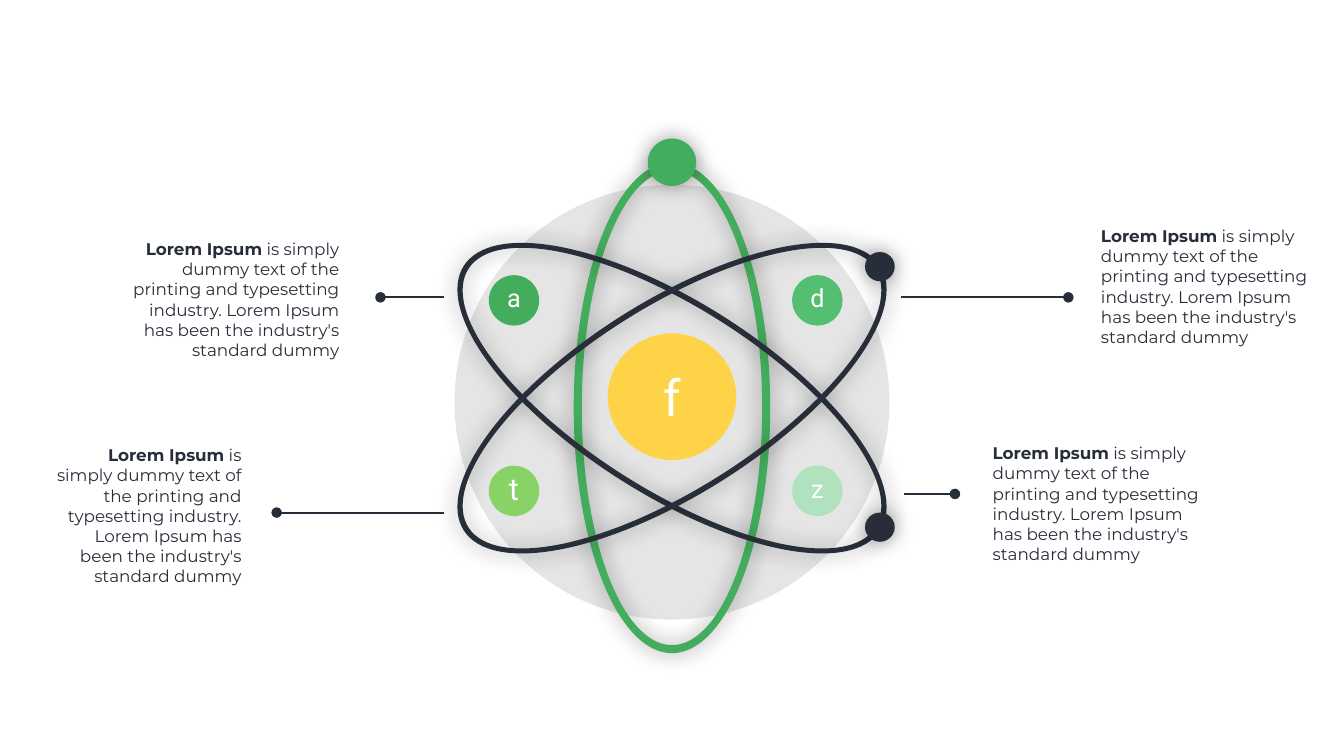
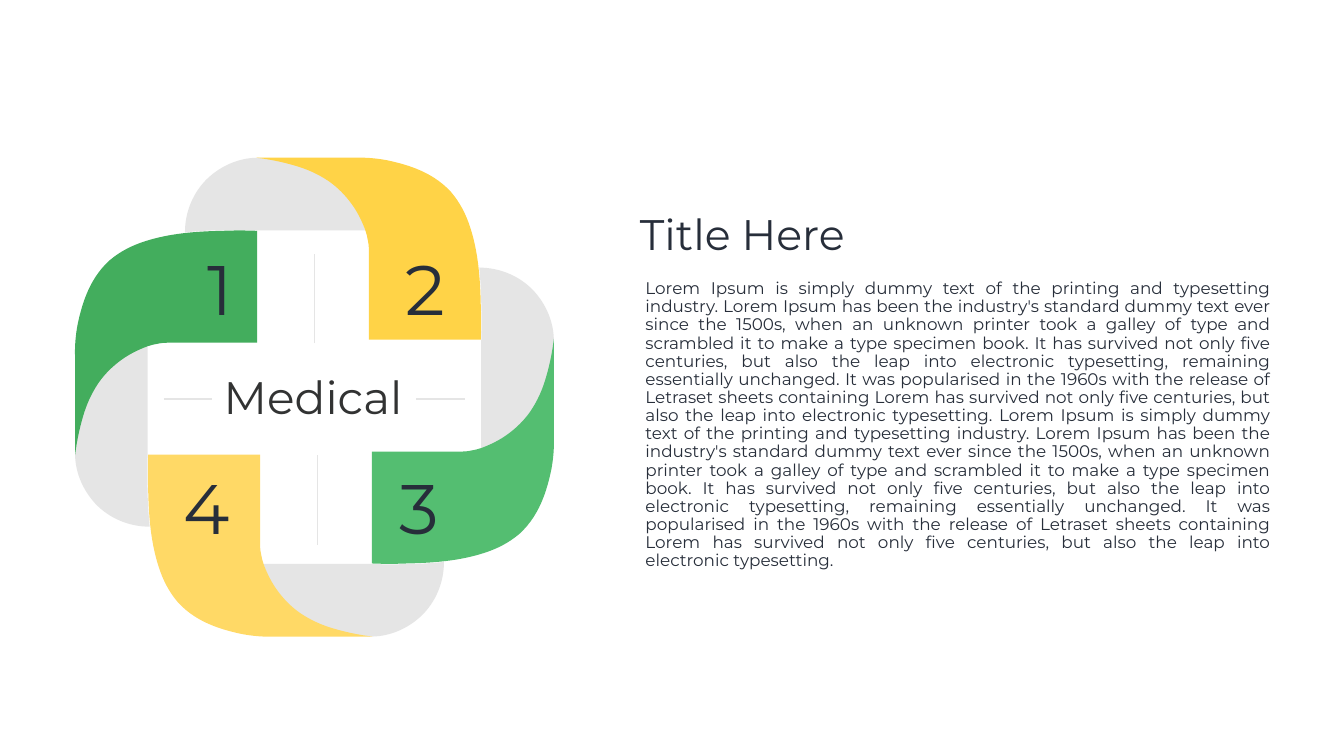
from itertools import product
from math import atan2, cos, pi, radians, sin, tan

from lxml.etree import SubElement
from pptx import Presentation
from pptx.dml.color import RGBColor
from pptx.enum.shapes import MSO_CONNECTOR, MSO_SHAPE
from pptx.enum.text import MSO_ANCHOR, MSO_AUTO_SIZE, PP_ALIGN
from pptx.oxml.ns import qn
from pptx.util import Inches, Pt

COLUMNS, ROWS = 26.67, 15
MID = COLUMNS / 2

WHITE = RGBColor(0xFF, 0xFF, 0xFF)
INK = RGBColor(0x27, 0x2E, 0x3A)
CHARCOAL = RGBColor(0x32, 0x33, 0x33)
GRAY = RGBColor(0x80, 0x80, 0x80)
PALE_GRAY = RGBColor(0xE5, 0xE5, 0xE5)
GREEN = RGBColor(0x43, 0xAD, 0x5D)
MID_GREEN = RGBColor(0x54, 0xBE, 0x71)
LIME = RGBColor(0x89, 0xD3, 0x66)
MINT = RGBColor(0xB0, 0xE2, 0xBD)
YELLOW = RGBColor(0xFF, 0xD3, 0x47)
SOFT_YELLOW = RGBColor(0xFF, 0xD9, 0x66)

HEADING_FONT, ICON_FONT = "Montserrat", "Roboto"
DEFAULT_INSETS = (0.1, 0.05, 0.1, 0.05)
TIGHT_INSETS = (0.04, 0.04, 0.04, 0.04)
ICON_INSETS = (0.1, 0, 0.1, 0.1)

CALLOUT_RUNS = (
    ("Lorem Ipsum", True),
    (" is simply dummy text of the printing and typesetting industry. "
     "Lorem Ipsum has been the industry's standard dummy", False),
)
STORY = (
    "Lorem Ipsum is simply dummy text of the printing and typesetting industry. "
    "Lorem Ipsum has been the industry's standard dummy text ever since the 1500s, "
    "when an unknown printer took a galley of type and scrambled it to make a type "
    "specimen book. It has survived not only five centuries, but also the leap into "
    "electronic typesetting, remaining essentially unchanged. It was popularised in "
    "the 1960s with the release of Letraset sheets containing Lorem has survived not "
    "only five centuries, but also the leap into electronic typesetting."
)

EMBLEM_CENTRE = (6.24, 7.88)
FOLD = [
    (7.25, 4.57), (5.11, 4.57),
    (4.86, 4.56, 4.61, 4.56, 4.36, 4.57), (4.13, 4.57, 3.9, 4.59, 3.67, 4.61),
    (3.67, 4.21, 3.83, 3.81, 4.13, 3.53), (4.39, 3.29, 4.73, 3.14, 5.08, 3.13),
    (5.35, 3.15, 5.62, 3.2, 5.87, 3.28), (6.15, 3.37, 6.41, 3.49, 6.64, 3.67),
    (6.93, 3.9, 7.14, 4.22, 7.25, 4.57),
]
RIBBON = [
    (5.09, 3.13), (7.02, 3.13),
    (7.24, 3.12, 7.47, 3.14, 7.68, 3.18), (7.87, 3.22, 8.06, 3.27, 8.24, 3.34),
    (8.5, 3.44, 8.75, 3.59, 8.95, 3.81), (9.13, 4.02, 9.25, 4.26, 9.33, 4.51),
    (9.49, 5, 9.53, 5.53, 9.54, 6.05), (9.55, 6.28, 9.55, 6.51, 9.54, 6.74),
    (7.32, 6.74), (7.32, 5.03),
    (7.32, 4.94, 7.32, 4.86, 7.3, 4.77), (7.29, 4.7, 7.27, 4.63, 7.25, 4.57),
    (7.18, 4.38, 7.09, 4.2, 6.98, 4.05), (6.85, 3.87, 6.7, 3.72, 6.53, 3.6),
    (6.31, 3.45, 6.08, 3.35, 5.83, 3.28), (5.59, 3.21, 5.34, 3.16, 5.09, 3.13),
]


def cells(*lengths):
    """Convert grid cells, one inch each, to slide lengths."""
    return [Inches(length) for length in lengths]


def write(frame, *runs, size, color=INK, font=HEADING_FONT, align=PP_ALIGN.LEFT,
          anchor=MSO_ANCHOR.TOP, insets=DEFAULT_INSETS, leading=None, wrap=True, grow=False):
    """Fill a text frame with one paragraph of (text, bold) runs."""
    frame.margin_left, frame.margin_top, frame.margin_right, frame.margin_bottom = cells(*insets)
    frame.vertical_anchor = anchor
    frame.word_wrap = wrap
    frame.auto_size = MSO_AUTO_SIZE.SHAPE_TO_FIT_TEXT if grow else MSO_AUTO_SIZE.NONE
    paragraph = frame.paragraphs[0]
    paragraph.alignment = align
    if leading:
        paragraph.line_spacing = leading
    for text, bold in runs:
        run = paragraph.add_run()
        run.text = text
        run.font.name, run.font.size, run.font.bold = font, Pt(size), bold
        run.font.color.rgb = color


def add_label(shapes, box, *runs, **style):
    """Place a text box on the grid."""
    write(shapes.add_textbox(*cells(*box)).text_frame, *runs, **style)


def paint(shape, color, glow=False):
    """Give a shape a plain fill, with a soft dark halo on request."""
    shape.fill.solid()
    shape.fill.fore_color.rgb = color
    shape.line.fill.background()
    shape.shadow.inherit = False
    if glow:
        effects = shape._element.spPr.find(qn("a:effectLst"))
        halo = SubElement(effects, qn("a:outerShdw"), blurRad=str(Pt(31)), dist="0",
                          dir="0", algn="ctr", rotWithShape="0")
        tone = SubElement(halo, qn("a:srgbClr"), val="000000")
        SubElement(tone, qn("a:alpha"), val="40000")
    return shape


def add_disc(shapes, centre, width, height, color, glow=False):
    """Draw an ellipse around its centre."""
    left, top = centre[0] - width / 2, centre[1] - height / 2
    disc = shapes.add_shape(MSO_SHAPE.OVAL, *cells(left, top, width, height))
    return paint(disc, color, glow)


def add_icon(shapes, centre, width, height, color, letter, size, insets=ICON_INSETS):
    """Draw a disc that carries one white letter."""
    disc = add_disc(shapes, centre, width, height, color)
    write(disc.text_frame, (letter, False), size=size, color=WHITE, font=ICON_FONT,
          align=PP_ALIGN.CENTER, anchor=MSO_ANCHOR.MIDDLE, insets=insets)


def add_outline(shapes, contours, color, glow=False):
    """Draw closed contours of lines (x, y) and Bézier curves (three points)."""
    contours = [[cells(*segment) for segment in contour] for contour in contours]
    builder = shapes.build_freeform(*contours[0][0], scale=1.0)
    for number, contour in enumerate(contours):
        if number:
            builder.move_to(*contour[0])
        builder.add_line_segments([segment[-2:] for segment in contour[1:]], close=True)
    outline = paint(builder.convert_to_shape(), color, glow)
    segments = [segment for contour in contours for segment in contour[1:]]
    for node, segment in zip(list(outline._element.iter(qn("a:lnTo"))), segments):
        if len(segment) == 6:
            node.tag = qn("a:cubicBezTo")
            node.remove(node[0])
            for x, y in zip(segment[::2], segment[1::2]):
                SubElement(node, qn("a:pt"), x=str(x - outline.left), y=str(y - outline.top))


def turn(segment, centre, angle):
    """Rotate the points of a segment clockwise about a centre."""
    turned = []
    for x, y in zip(segment[::2], segment[1::2]):
        dx, dy = x - centre[0], y - centre[1]
        turned += [centre[0] + dx * cos(angle) - dy * sin(angle),
                   centre[1] + dx * sin(angle) + dy * cos(angle)]
    return turned


def ellipse(centre, across, down, angle, arcs=8):
    """Trace a tilted ellipse as Bézier arcs, starting at its rightmost point."""
    step = 2 * pi / arcs
    reach = 4 / 3 * tan(step / 4)
    start = atan2(-down * sin(angle), across * cos(angle))

    def spot(t, pull=0):
        return (centre[0] + across * (cos(t) - pull * sin(t)),
                centre[1] + down * (sin(t) + pull * cos(t)))

    segments = [spot(start)]
    for t in (start + step * arc for arc in range(arcs)):
        segments.append(spot(t, reach) + spot(t + step, -reach) + spot(t + step))
    return [turn(segment, centre, angle) for segment in segments]


def add_orbit(shapes, centre, across, down, thickness, tilt, color):
    """Draw an elliptical ring given the radii of its middle line."""
    half, angle = thickness / 2, radians(tilt)
    edges = [ellipse(centre, across + side, down + side, angle) for side in (half, -half)]
    add_outline(shapes, edges, color, glow=True)


def add_rule(shapes, start, end, color, width, dot=False):
    """Draw a straight line, optionally ending in a dot."""
    rule = shapes.add_connector(MSO_CONNECTOR.STRAIGHT, *cells(*start, *end))
    rule.line.color.rgb = color
    rule.line.width = Pt(width)
    if dot:
        SubElement(rule.line._get_or_add_ln(), qn("a:tailEnd"), type="oval", w="lg", len="lg")
    SubElement(rule._element.spPr, qn("a:effectLst"))


def add_callout(shapes, box, align, row, start, end):
    """Place a callout text and its leader line."""
    add_rule(shapes, (start, row), (end, row), INK, 3, dot=True)
    add_label(shapes, box, *CALLOUT_RUNS, size=24, align=align, grow=True)


def build_atom(shapes):
    """Build the atom with its icons and callouts."""
    backdrop = add_disc(shapes, (MID, 7.98), 8.63, 8.63, GRAY)
    tone = backdrop._element.spPr.find(qn("a:solidFill"))[0]
    SubElement(tone, qn("a:alpha"), val="20000")

    add_orbit(shapes, (MID, 8.09), 1.87, 4.79, 0.16, 0, GREEN)
    for tilt in (32.4, -32.4):
        add_orbit(shapes, (MID, 7.9), 4.84, 1.86, 0.11, tilt, INK)

    add_icon(shapes, (MID, 7.87), 2.55, 2.51, YELLOW, "f", 72, DEFAULT_INSETS)
    add_disc(shapes, (MID, 3.22), 0.96, 0.94, GREEN, glow=True)
    for row in (5.29, 10.46):
        add_disc(shapes, (17.46, row), 0.59, 0.58, INK, glow=True)

    icons = (("a", 36, GREEN), ("d", 36, MID_GREEN), ("t", 44, LIME), ("z", 36, MINT))
    for (row, column), (letter, size, color) in zip(product((5.96, 9.74), (10.2, 16.22)), icons):
        add_icon(shapes, (column, row), 1, 1, color, letter, size)

    callouts = (
        ((2.33, 4.69, 4.5, 2.52), PP_ALIGN.RIGHT, 5.9, 8.82, 7.55),
        ((21.75, 4.43, 4.5, 2.52), PP_ALIGN.LEFT, 5.9, 17.87, 21.2),
        ((19.6, 8.74, 4.5, 2.52), PP_ALIGN.LEFT, 9.8, 17.94, 18.95),
        ((1.02, 8.78, 3.87, 2.93), PP_ALIGN.RIGHT, 10.17, 8.82, 5.49),
    )
    for callout in callouts:
        add_callout(shapes, *callout)


def build_emblem(shapes):
    """Build the four-ribbon cross with its numbers and centre word."""
    for quarter, color in enumerate((YELLOW, MID_GREEN, SOFT_YELLOW, GREEN)):
        for piece, tint in ((FOLD, PALE_GRAY), (RIBBON, color)):
            contour = [turn(segment, EMBLEM_CENTRE, quarter * pi / 2) for segment in piece]
            add_outline(shapes, [contour], tint)

    fit = {"anchor": MSO_ANCHOR.MIDDLE, "insets": TIGHT_INSETS, "wrap": False, "grow": True}
    numbers = (("1", 4.05, 4.81, 0.62), ("2", 7.98, 4.81, 0.93),
               ("4", 3.6, 9.16, 0.89), ("3", 7.87, 9.16, 0.89))
    for number, left, top, width in numbers:
        add_label(shapes, (left, top, width, 1.77), (number, False), size=100,
                  align=PP_ALIGN.CENTER, **fit)
    add_label(shapes, (4.4, 7.28, 3.67, 1.18), ("Medical", False), size=65,
              color=CHARCOAL, **fit)

    for column, row in ((6.3, 9.03), (6.24, 5.03)):
        add_rule(shapes, (column, row + 1.78), (column, row), PALE_GRAY, 2)
    for column in (3.25, 8.26):
        add_rule(shapes, (column, 7.92), (column + 0.96, 7.92), PALE_GRAY, 2)


def build_story(shapes):
    """Build the heading and the justified body text."""
    add_label(shapes, (12.66, 4.28, 10.32, 0.94), ("Title Here", False), size=61,
              insets=TIGHT_INSETS, leading=0.8)
    add_label(shapes, (12.71, 5.51, 12.59, 5.91), (f"{STORY} {STORY}", False), size=24,
              align=PP_ALIGN.JUSTIFY, leading=0.9)


def main():
    """Build both slides and save the deck."""
    deck = Presentation()
    deck.slide_width, deck.slide_height = cells(COLUMNS, ROWS)
    atom, medical = (deck.slides.add_slide(deck.slide_layouts[6]) for _ in range(2))
    build_atom(atom.shapes)
    build_story(medical.shapes)
    build_emblem(medical.shapes.add_group_shape().shapes)
    deck.save("out.pptx")


if __name__ == "__main__":
    main()
